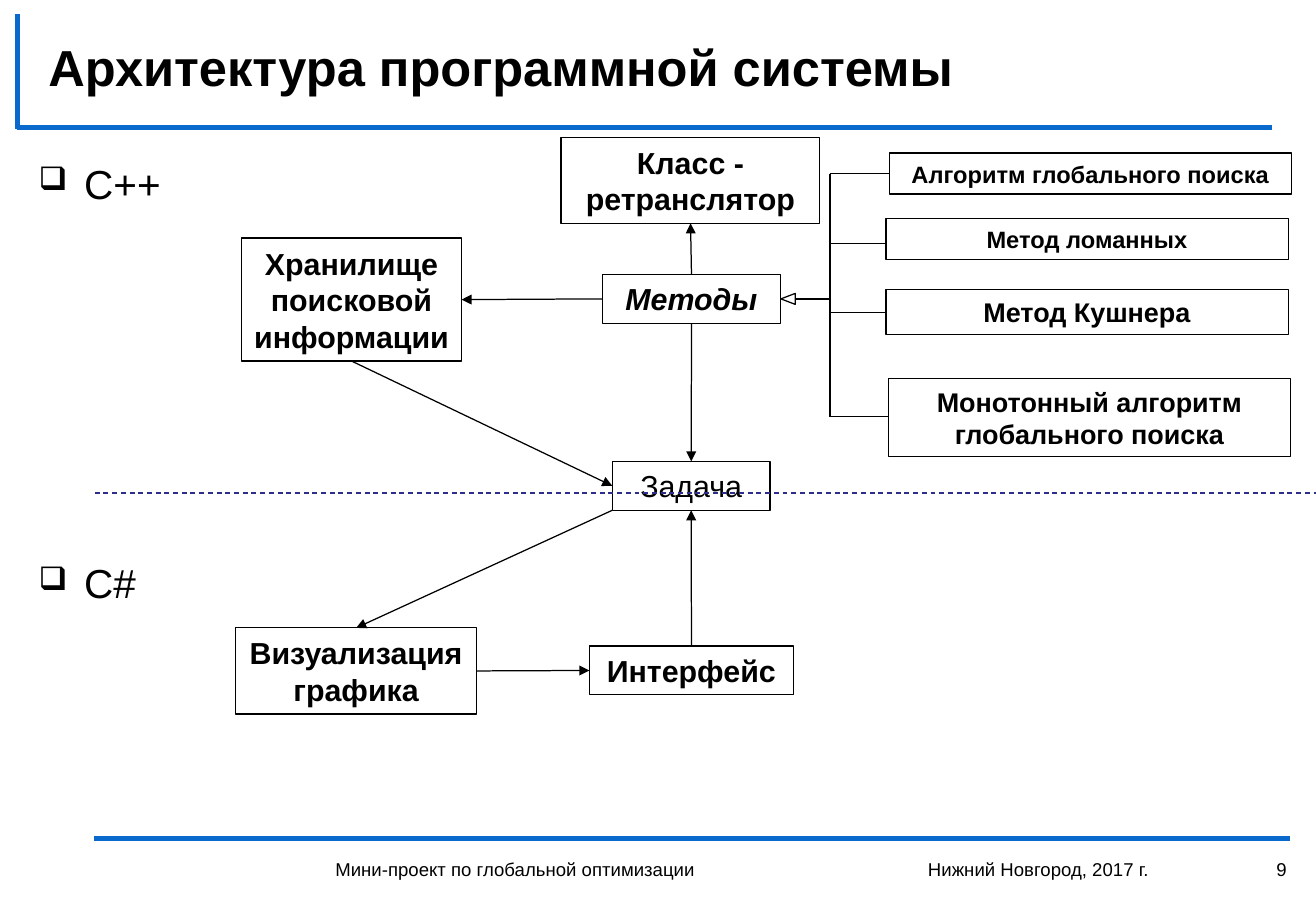
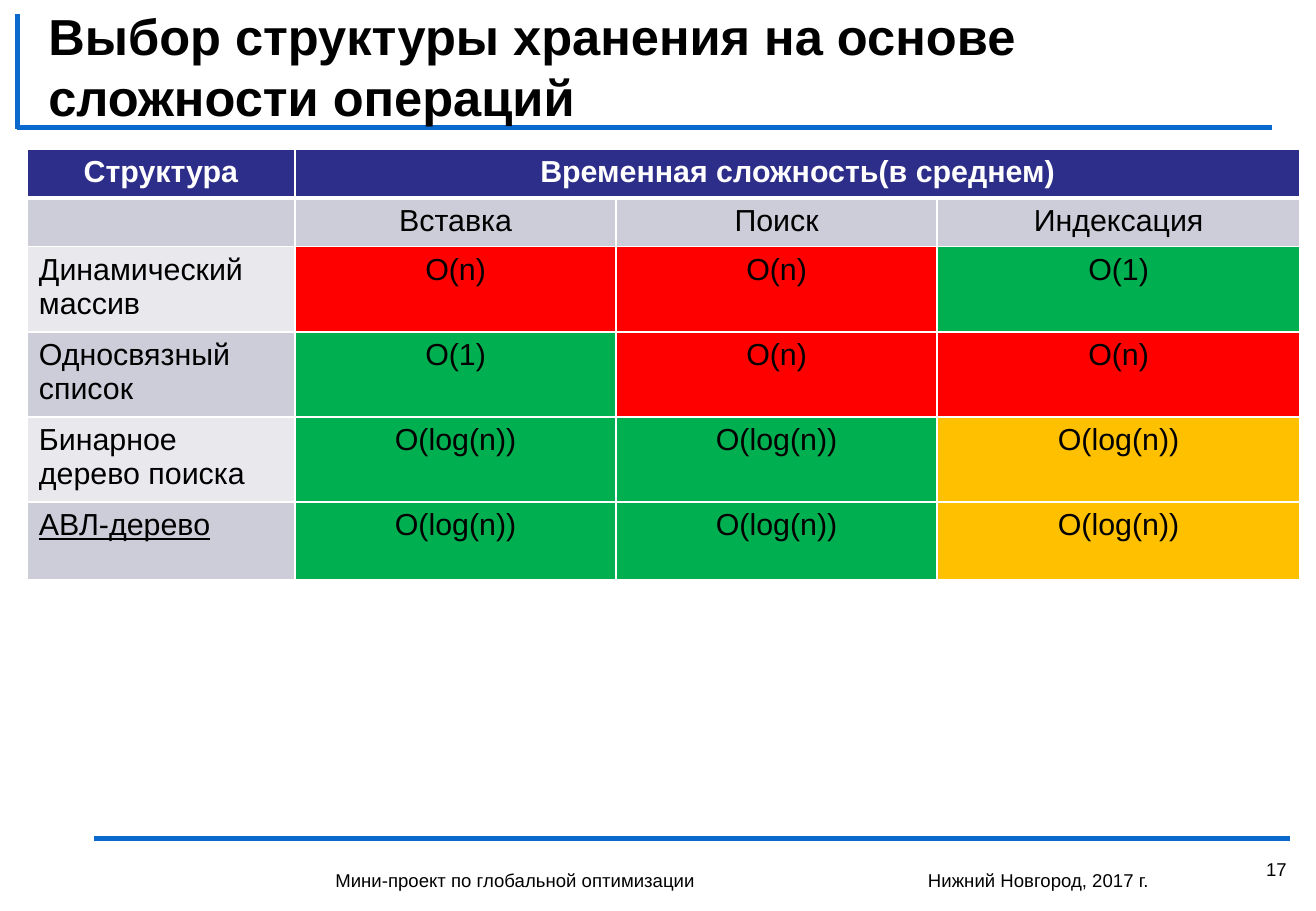
"""Build two slides: a system architecture diagram and a complexity table."""
import dataclasses

import lxml.etree
import pptx
import pptx.dml.color
import pptx.enum.dml
import pptx.enum.shapes
import pptx.enum.text
import pptx.oxml.ns
import pptx.util

Cm = pptx.util.Cm
Pt = pptx.util.Pt
RGB = pptx.dml.color.RGBColor.from_string
Align = pptx.enum.text.PP_ALIGN
Shape = pptx.enum.shapes.MSO_SHAPE
qn = pptx.oxml.ns.qn


@dataclasses.dataclass(frozen=True)
class Theme:
    font: str = "Arial"
    ink: str = "000000"
    white: str = "FFFFFF"
    blue: str = "0969CD"
    navy: str = "2D2D8A"
    dark: str = "CDCDDA"
    light: str = "E8E8ED"
    red: str = "FF0000"
    green: str = "00B050"
    amber: str = "FFC000"
    title: int = 30
    body: int = 24
    node: int = 18
    mid: int = 16
    small: int = 14
    foot: int = 11
    thin: float = 0.75
    thick: float = 3


theme = Theme()


def write(frame, text, size, color=theme.ink, align=Align.LEFT, space=1.0, **style):
    """Fill a text frame, one paragraph per line of text."""
    frame.word_wrap = True
    style = {"name": theme.font, "size": Pt(size), "bold": False, **style}
    for index, part in enumerate(text.split("\n")):
        para = frame.add_paragraph() if index else frame.paragraphs[0]
        para.alignment = align
        para.line_spacing = space
        run = para.add_run()
        run.text = part
        run.font.color.rgb = RGB(color)
        for key, value in style.items():
            setattr(run.font, key, value)


def draw(slide, ends, color=theme.ink, width=theme.thin, dash=None, arrow=False):
    """Add a straight line between two points given in centimetres."""
    link = slide.shapes.add_connector(
        pptx.enum.shapes.MSO_CONNECTOR.STRAIGHT, *map(Cm, ends))
    link.line.color.rgb = RGB(color)
    link.line.width = Pt(width)
    if dash:
        link.line.dash_style = dash
    props = link._element.spPr
    if arrow:
        lxml.etree.SubElement(props.find(qn("a:ln")), qn("a:tailEnd"), type="triangle")
    lxml.etree.SubElement(props, qn("a:effectLst"))
    return link


deck = pptx.Presentation()
deck.slide_width, deck.slide_height = Cm(27.51), Cm(19.05)

pages = [
    ("Архитектура программной системы", "9", 1.0),
    ("Выбор структуры хранения на основе сложности операций", "17", 1.5),
]
rules = [(0.36, 2.67, 26.59, 2.67), (0.36, 0.3, 0.36, 2.69), (1.96, 17.53, 26.97, 17.53)]
slides = []
for title, number, space in pages:
    slide = deck.slides.add_slide(deck.slide_layouts[6])
    slides.append(slide)
    for rule in rules:
        draw(slide, rule, theme.blue, theme.thick)
    head = slide.shapes.add_textbox(Cm(0.76), Cm(0), Cm(25.22), Cm(2.76)).text_frame
    head.vertical_anchor = pptx.enum.text.MSO_ANCHOR.MIDDLE
    write(head, title, theme.title, bold=True)
    feet = [
        ("Мини-проект по глобальной оптимизации", 6.76, 12.4, Align.LEFT, space),
        ("Нижний Новгород, 2017 г.", 19.15, 5.99, Align.LEFT, space),
        (number, 25.35, 1.8, Align.RIGHT, 1.0),
    ]
    for text, left, width, align, gap in feet:
        foot = slide.shapes.add_textbox(Cm(left), Cm(17.81), Cm(width), Cm(1.24))
        write(foot.text_frame, text, theme.foot, align=align, space=gap)

chart, grid = slides

body = chart.shapes.add_textbox(Cm(0.56), Cm(3.2), Cm(4), Cm(9.6)).text_frame
write(body, "C++\nC#", theme.body)
body.paragraphs[1].space_before = Pt(208)
for para in body.paragraphs:
    props = para._p.get_or_add_pPr()
    props.set("marL", str(Cm(0.95)))
    props.set("indent", str(Cm(-0.95)))
    lxml.etree.SubElement(props, qn("a:buSzPct"), val="80000")
    lxml.etree.SubElement(props, qn("a:buChar"), char="❑")

bold = {"bold": True}
nodes = [
    ("relay", "Класс - ретранслятор", 11.73, 2.87, 5.41, 1.8, theme.node, bold),
    ("store", "Хранилище поисковой информации", 5.05, 4.98, 4.6, 2.57, theme.node, bold),
    ("methods", "Методы", 12.6, 5.74, 3.71, 1.02, theme.node, {"bold": True, "italic": True}),
    ("global", "Алгоритм глобального поиска", 18.59, 3.2, 8.41, 0.86, theme.small, bold),
    ("broken", "Метод ломанных", 18.52, 4.57, 8.41, 0.86, theme.small, bold),
    ("kushner", "Метод Кушнера", 18.52, 6.05, 8.41, 0.94, theme.mid, bold),
    ("steady", "Монотонный алгоритм глобального поиска", 18.57, 7.92, 8.41, 1.63, theme.mid, bold),
    ("view", "Визуализация\nграфика", 4.93, 13.13, 5.03, 1.8, theme.node, bold),
    ("panel", "Интерфейс", 12.32, 13.51, 4.27, 1.02, theme.node, bold),
    ("task", "Задача", 12.8, 9.65, 3.3, 1.02, theme.node, {}),
]
boxes = {}
for name, text, left, top, width, height, size, style in nodes:
    box = chart.shapes.add_shape(
        Shape.RECTANGLE, Cm(left), Cm(top), Cm(width), Cm(height))
    box.shadow.inherit = False
    box.fill.background()
    box.line.color.rgb = RGB(theme.ink)
    box.line.width = Pt(theme.thin)
    box.text_frame.margin_left = box.text_frame.margin_right = Cm(0.1)
    write(box.text_frame, text, size, align=Align.CENTER, **style)
    boxes[name] = box

trunk = 17.35
draw(chart, (trunk, 3.63, trunk, 8.71))
for level, edge in [(3.63, 18.59), (5.09, 18.52), (6.53, 18.52), (8.71, 18.57)]:
    draw(chart, (trunk, level, edge, level))
draw(chart, (16.61, 6.25, trunk, 6.25))
tip = chart.shapes.add_shape(
    Shape.ISOSCELES_TRIANGLE, Cm(16.36), Cm(6.1), Cm(0.23), Cm(0.3))
tip.rotation = 270
tip.shadow.inherit = False
tip.fill.solid()
tip.fill.fore_color.rgb = RGB(theme.white)
tip.line.color.rgb = RGB(theme.ink)
tip.line.width = Pt(theme.thin)

draw(chart, (1.98, 10.31, 27.51, 10.31), theme.navy,
     dash=pptx.enum.dml.MSO_LINE.DASH)

top, left, bottom, right = range(4)
links = [
    ("methods", top, "relay", bottom),
    ("methods", left, "store", right),
    ("methods", bottom, "task", top),
    ("store", bottom, "task", left),
    ("panel", top, "task", bottom),
    ("view", right, "panel", left),
]
for start, side, end, face in links:
    link = draw(chart, (0, 0, 1, 1), arrow=True)
    link.begin_connect(boxes[start], side)
    link.end_connect(boxes[end], face)
link = draw(chart, (12.8, 10.67, 7.44, 13.13), arrow=True)
link.end_connect(boxes["view"], top)

rows = [
    ("Структура", "Временная сложность(в среднем)", "", ""),
    ("", "Вставка", "Поиск", "Индексация"),
    ("Динамический массив", "O(n)", "O(n)", "O(1)"),
    ("Односвязный список", "O(1)", "O(n)", "O(n)"),
    ("Бинарное дерево поиска", "O(log(n))", "O(log(n))", "O(log(n))"),
    ("АВЛ-дерево", "O(log(n))", "O(log(n))", "O(log(n))"),
]
marks = {"O(n)": theme.red, "O(1)": theme.green, "O(log(n))": theme.green}
table = grid.shapes.add_table(
    len(rows), 4, Cm(0.56), Cm(3.12), Cm(26.62), Cm(8.8)).table
table.first_row = table.horz_banding = False
for column, width in zip(table.columns, (5.61, 6.71, 6.71, 7.59)):
    column.width = Cm(width)
for row, height in zip(table.rows, (1.02, 1.02, 1.57, 1.78, 1.78, 1.63)):
    row.height = Cm(height)

for r, row in enumerate(rows):
    for c, text in enumerate(row):
        cell = table.cell(r, c)
        props = cell._tc.get_or_add_tcPr()
        for side in "LRTB":
            heavy = (r, side) in ((0, "B"), (1, "T"))
            edge = lxml.etree.SubElement(
                props, qn("a:ln" + side), w=str(Pt(3 if heavy else 1)))
            fill = lxml.etree.SubElement(edge, qn("a:solidFill"))
            lxml.etree.SubElement(fill, qn("a:srgbClr"), val=theme.white)
        shade = marks.get(text, theme.light if r % 2 == 0 else theme.dark)
        if r == 0:
            shade = theme.navy
        elif c == 3 and text == "O(log(n))":
            shade = theme.amber
        cell.fill.solid()
        cell.fill.fore_color.rgb = RGB(shade)
        if text:
            write(cell.text_frame, text, theme.node,
                  theme.white if r == 0 else theme.ink,
                  Align.LEFT if c == 0 and r > 1 else Align.CENTER,
                  bold=r == 0, underline=text == "АВЛ-дерево")
table.cell(0, 1).merge(table.cell(0, 3))

deck.save("out.pptx")
